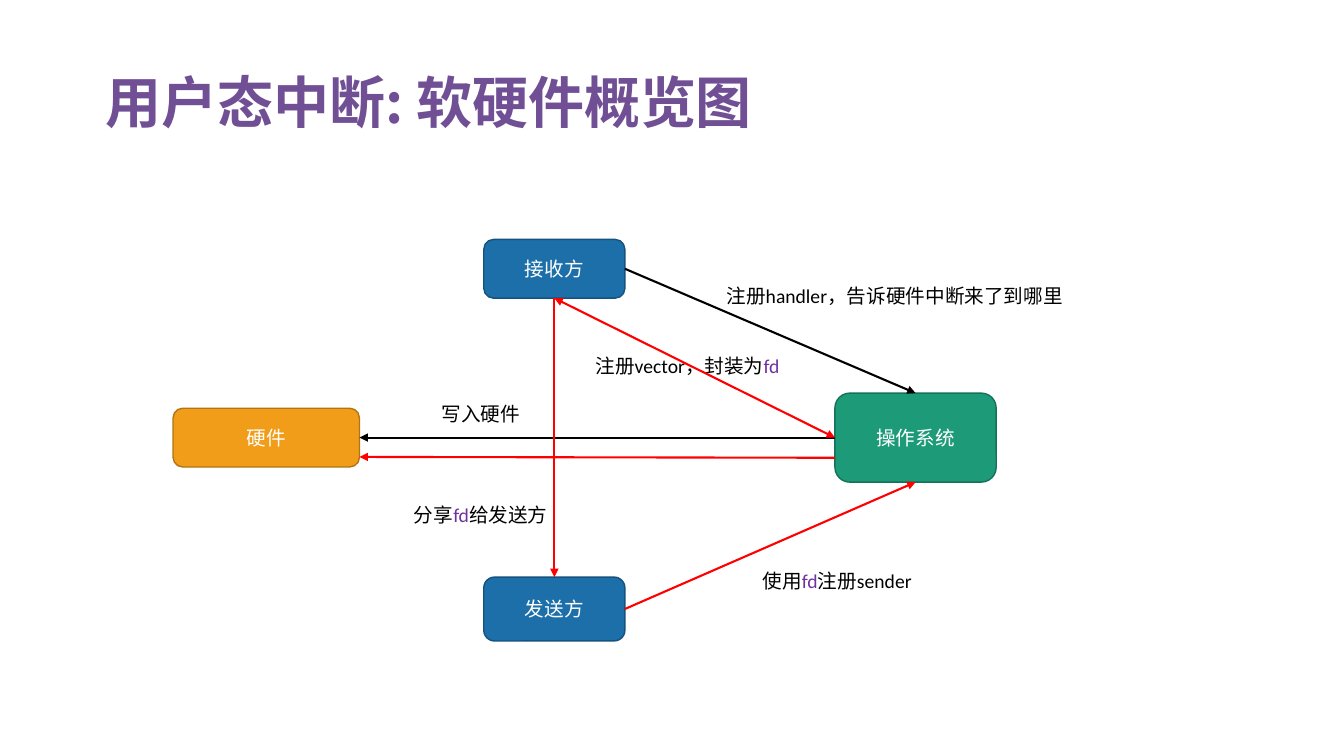
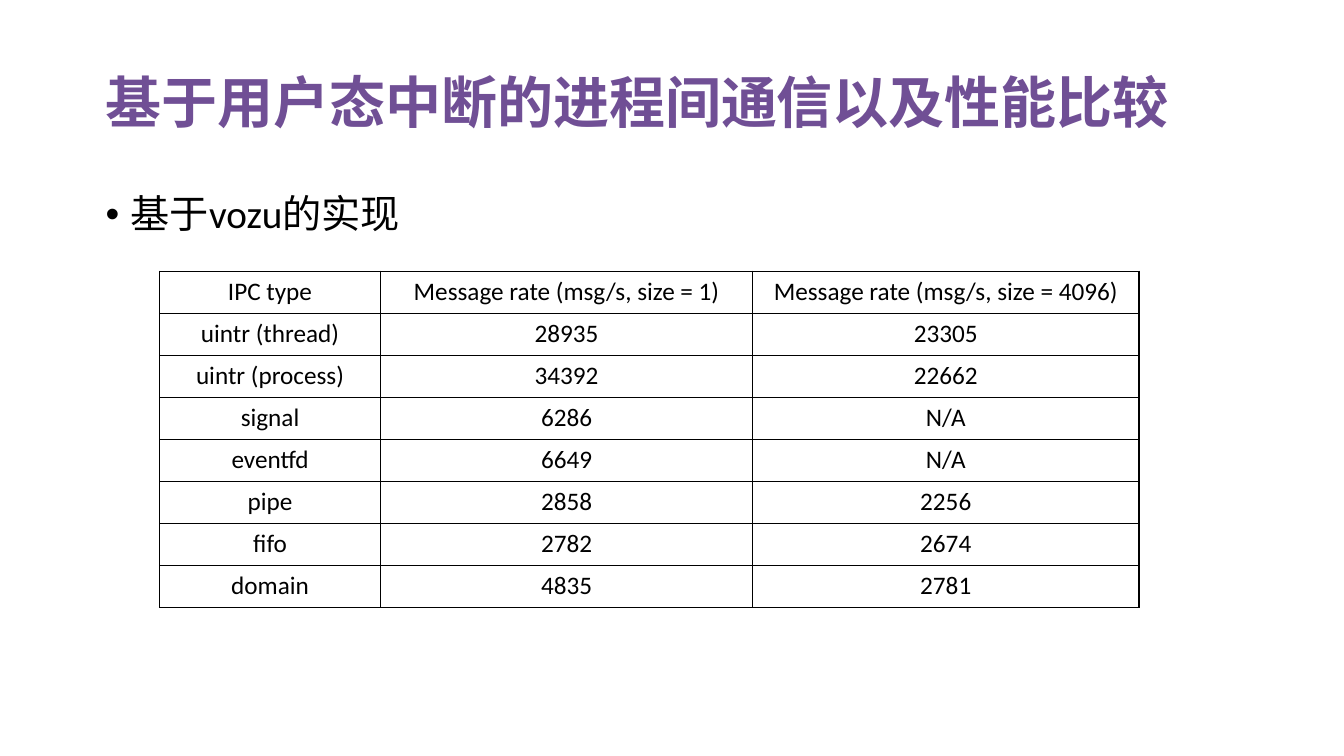
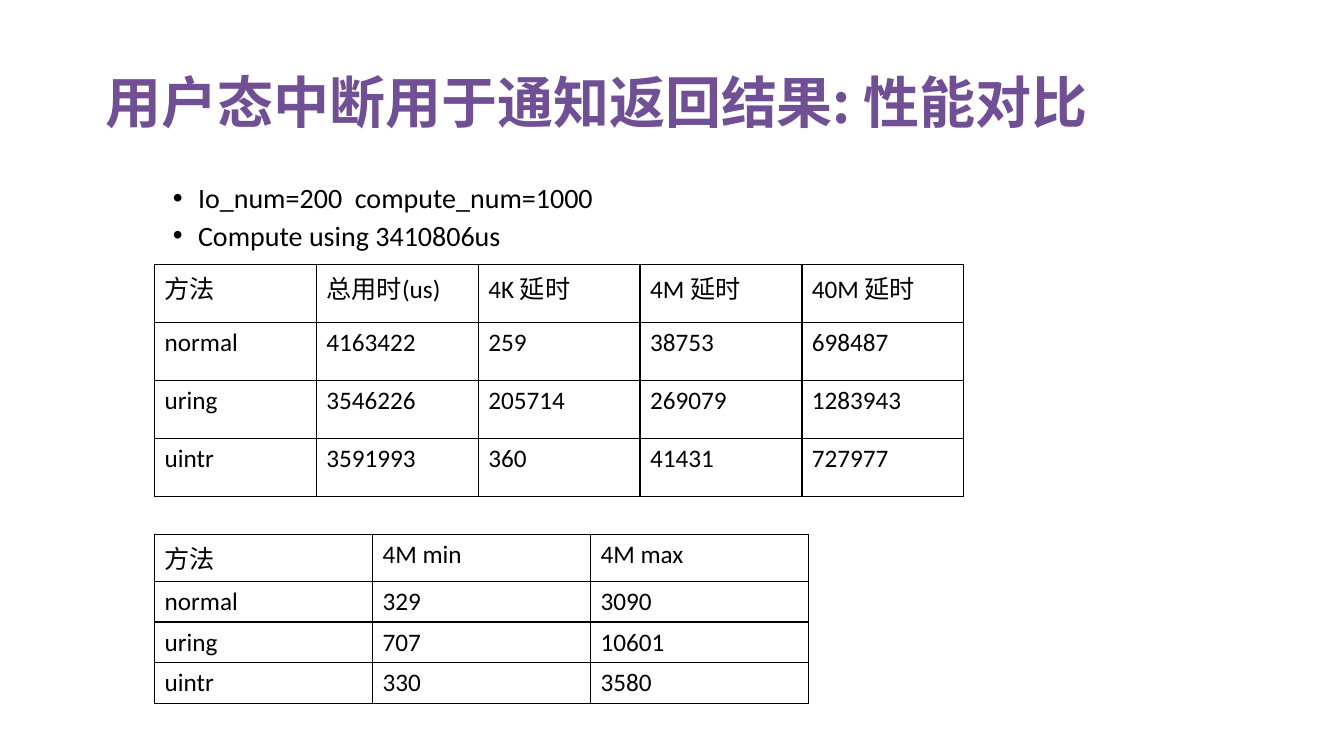
from pptx import Presentation
from pptx.dml.color import RGBColor
from pptx.enum.shapes import MSO_CONNECTOR, MSO_SHAPE
from pptx.enum.text import MSO_ANCHOR as ANCHOR, PP_ALIGN as ALIGN
from pptx.oxml.ns import qn
from pptx.util import Emu, Pt
from lxml.etree import SubElement

# Shared look
PURPLE = RGBColor(0x70, 0x4F, 0x95)
VIOLET = RGBColor(0x70, 0x30, 0xA0)
BLACK = RGBColor(0, 0, 0)
WHITE = RGBColor(0xFF, 0xFF, 0xFF)
RED = RGBColor(0xFF, 0, 0)
GREEN = RGBColor(0x1D, 0x9A, 0x78)
DARK_GREEN = RGBColor(0x15, 0x72, 0x59)
BLUE = RGBColor(0x1D, 0x6F, 0xA9)
DARK_BLUE = RGBColor(0x15, 0x52, 0x7D)
ORANGE = RGBColor(0xF1, 0x9D, 0x19)
DARK_ORANGE = RGBColor(0xB2, 0x74, 0x12)
LATIN, CJK = "Calibri", "Noto Sans CJK SC"

# Square grid: 160 columns by 90 rows
WIDTH, HEIGHT = Emu(12192000), Emu(6858000)
CELL = WIDTH // 160


def style(paragraph, size, color, latin=LATIN, bold=False):
    for run in paragraph.runs:
        font = run.font
        font.size, font.name, font.bold = Pt(size), latin, bold
        font.color.rgb = color
        east_asian = SubElement(run._r.rPr, qn("a:ea"))
        east_asian.set("typeface", CJK)


def add_grid_table(slide, left, top, col_widths, row_heights, rows,
                   align=ALIGN.LEFT, anchor=ANCHOR.TOP):
    area = [Emu(int(n * CELL)) for n in (left, top, sum(col_widths), sum(row_heights))]
    table = slide.shapes.add_table(len(rows), len(col_widths), *area).table
    table.first_row = table.horz_banding = False
    for column, width in zip(table.columns, col_widths):
        column.width = Emu(int(width * CELL))
    for row, height, values in zip(table.rows, row_heights, rows):
        row.height = Emu(int(height * CELL))
        for cell, value in zip(row.cells, values):
            cell.text_frame.text = value
            cell.vertical_anchor = anchor
            cell.fill.background()
            paragraph = cell.text_frame.paragraphs[0]
            paragraph.alignment = align
            style(paragraph, 18, BLACK)
            # Thin black border on every side, placed before the fill
            properties = cell._tc.tcPr
            for place, side in enumerate(("lnL", "lnR", "lnT", "lnB")):
                border = SubElement(properties, qn(f"a:{side}"), w=str(Pt(1)))
                fill = SubElement(border, qn("a:solidFill"))
                SubElement(fill, qn("a:srgbClr"), val=str(BLACK))
                properties.insert(place, border)


deck = Presentation()
deck.slide_width, deck.slide_height = WIDTH, HEIGHT

# Slides with their titles
slides = []
for heading in ("用户态中断: 软硬件概览图",
                "基于用户态中断的进程间通信以及性能比较",
                "用户态中断用于通知返回结果: 性能对比"):
    slide = deck.slides.add_slide(deck.slide_layouts[6])
    title = slide.shapes.add_textbox(*[int(n * CELL) for n in (11.4, 8.3, 131.6, 12.6)])
    title.text_frame.word_wrap = True
    title.text_frame.text = heading
    paragraph = title.text_frame.paragraphs[0]
    paragraph.line_spacing = 0.9
    style(paragraph, 40, PURPLE, CJK, True)
    slides.append(slide)
overview, ipc, results = slides

# Overview: the four parties
parties = {}
for name, fill, edge, area in (
        ("操作系统", GREEN, DARK_GREEN, (99.4, 46.8, 19.2, 10.6)),
        ("发送方", BLUE, DARK_BLUE, (57.6, 68.7, 16.8, 7.6)),
        ("接收方", BLUE, DARK_BLUE, (57.6, 28.5, 16.8, 7)),
        ("硬件", ORANGE, DARK_ORANGE, (20.6, 48.6, 22.2, 7))):
    party = overview.shapes.add_shape(MSO_SHAPE.ROUNDED_RECTANGLE,
                                      *[int(n * CELL) for n in area])
    party.shadow.inherit = False
    party.fill.solid()
    party.fill.fore_color.rgb = fill
    party.line.color.rgb = edge
    party.line.width = Pt(1)
    party.text_frame.text = name
    party.text_frame.vertical_anchor = ANCHOR.MIDDLE
    paragraph = party.text_frame.paragraphs[0]
    paragraph.alignment = ALIGN.CENTER
    style(paragraph, 14, WHITE)
    parties[name] = party

# Overview: step labels, with fd picked out in violet
for area, parts in (
        ((85.3, 33.2, 44.2, 4.1), ["注册handler，告诉硬件中断来了到哪里"]),
        ((51.4, 47.3, 12.2, 4.1), ["写入硬件"]),
        ((69.7, 41.6, 24.8, 4.1), ["注册vector，封装为", "fd"]),
        ((48.1, 59.3, 18.9, 4.1), ["分享", "fd", "给发送方"]),
        ((89.6, 67.1, 20.6, 4.1), ["使用", "fd", "注册sender"])):
    label = overview.shapes.add_textbox(*[int(n * CELL) for n in area])
    label.text_frame.word_wrap = True
    paragraph = label.text_frame.paragraphs[0]
    for part in parts:
        paragraph.add_run().text = part
    style(paragraph, 14, BLACK)
    for run in paragraph.runs:
        if run.text == "fd":
            run.font.color.rgb = VIOLET

# Overview: arrows between sides (0 top, 1 left, 2 bottom, 3 right)
for start, end, color, heads in (
        (("接收方", 3), ("操作系统", 0), BLACK, ["tailEnd"]),
        (("操作系统", 1), ("硬件", 3), BLACK, ["tailEnd"]),
        (("接收方", 2), ("操作系统", 1), RED, ["headEnd", "tailEnd"]),
        (("接收方", 2), ("发送方", 0), RED, ["tailEnd"]),
        (("发送方", 3), ("操作系统", 2), RED, ["tailEnd"]),
        (None, None, RED, ["tailEnd"])):
    # The unjoined arrow runs below the one that writes to the hardware
    arrow = overview.shapes.add_connector(
        MSO_CONNECTOR.STRAIGHT, *[int(n * CELL) for n in (99.4, 54.5, 42.8, 54.4)])
    if start:
        arrow.begin_connect(parties[start[0]], start[1])
        arrow.end_connect(parties[end[0]], end[1])
    arrow.line.color.rgb = color
    arrow.line.width = Pt(1.5)
    for head in heads:
        SubElement(arrow.line._ln, qn(f"a:{head}"), type="triangle")
    SubElement(arrow._element.spPr, qn("a:effectLst"))

# Bullets above the tables
for slide, area, level, size, before, indent, lines in (
        (ipc, (11.4, 22.6, 138, 57.1), 0, 28, 10, 3, ["基于vozu的实现"]),
        (results, (13.4, 21.4, 138, 67), 1, 20, 5, 9,
         ["Io_num=200  compute_num=1000", "Compute using 3410806us"])):
    body = slide.shapes.add_textbox(*[int(n * CELL) for n in area])
    body.text_frame.word_wrap = True
    body.text_frame.text = "\n".join(lines)
    for paragraph in body.text_frame.paragraphs:
        paragraph.level = level
        paragraph.line_spacing = 0.9
        paragraph.space_before = Pt(before)
        style(paragraph, size, BLACK)
        properties = paragraph._p.get_or_add_pPr()
        properties.set("marL", str(indent * CELL))
        properties.set("indent", str(-3 * CELL))
        SubElement(properties, qn("a:buFont"), typeface="Arial")
        SubElement(properties, qn("a:buChar"), char="•")

# IPC message rates
add_grid_table(ipc, 19, 32.3, [26.3, 44.3, 46], [5] * 8, [
    ("IPC type", "Message rate (msg/s, size = 1)", "Message rate (msg/s, size = 4096)"),
    ("uintr (thread)", "28935", "23305"),
    ("uintr (process)", "34392", "22662"),
    ("signal", "6286", "N/A"),
    ("eventfd", "6649", "N/A"),
    ("pipe", "2858", "2256"),
    ("fifo", "2782", "2674"),
    ("domain", "4835", "2781"),
], ALIGN.CENTER, ANCHOR.MIDDLE)

# Total time and delays
add_grid_table(results, 18.4, 31.5, [19.27] * 5, [6.9] * 4, [
    ("方法", "总用时(us)", "4K 延时", "4M 延时", "40M 延时"),
    ("normal", "4163422", "259", "38753", "698487"),
    ("uring", "3546226", "205714", "269079", "1283943"),
    ("uintr", "3591993", "360", "41431", "727977"),
])

# Range of the 4M delay
add_grid_table(results, 18.4, 63.6, [25.95] * 3, [5.6] + [4.85] * 3, [
    ("方法", "4M min", "4M max"),
    ("normal", "329", "3090"),
    ("uring", "707", "10601"),
    ("uintr", "330", "3580"),
])

deck.save("out.pptx")
